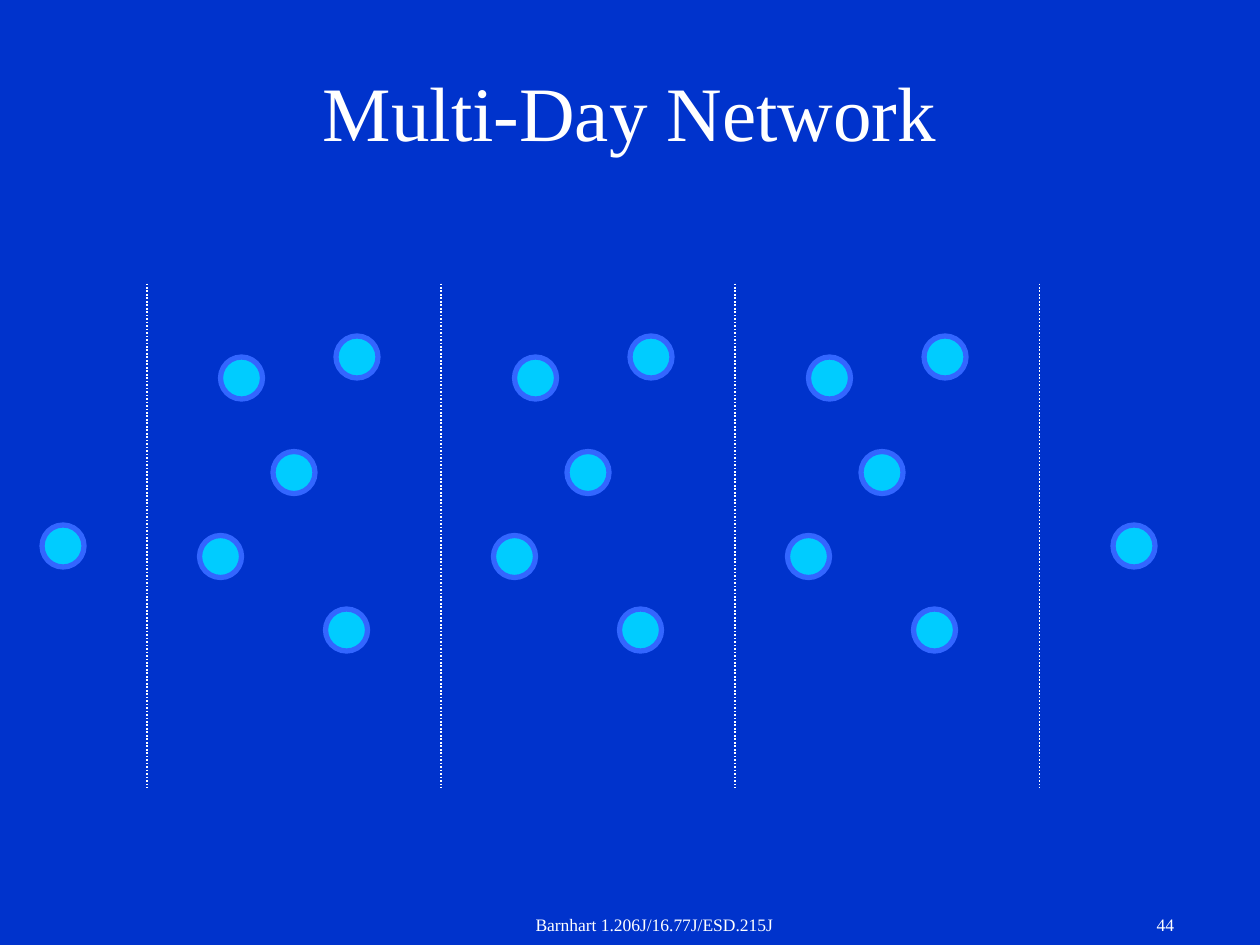
from dataclasses import dataclass

from pptx import Presentation
from pptx import util as u
from pptx.dml.color import RGBColor
from pptx.enum import dml, shapes, text
from pptx.oxml.ns import qn
from pptx.slide import Slide
from lxml import etree

PX = 914400 // 120  # one px in EMU, 120 px to the inch
FONT = "Times New Roman"
BLUE = RGBColor(0x00, 0x33, 0xCC)
CYAN = RGBColor(0x00, 0xCC, 0xFF)
RIM = RGBColor(0x33, 0x66, 0xFF)
WHITE = RGBColor(0xFF, 0xFF, 0xFF)

NODE = 40  # node diameter
TOP, BOTTOM = 270, 750  # ends of the day lines
FIRST, STEP, DAYS = 140, 280, 3
LAST = 990  # line after the last day


@dataclass(frozen=True)
class Node:
    x: int
    y: int


@dataclass(frozen=True)
class Label:
    words: str
    x: int
    y: int
    w: int
    h: int
    size: int
    align: text.PP_ALIGN
    anchor: text.MSO_ANCHOR = text.MSO_ANCHOR.TOP


# Nodes of one day, measured from its left line
DAY = [Node(70, 340), Node(120, 430), Node(50, 510), Node(170, 580), Node(180, 320)]
# Nodes before the first day and after the last
ENDS = [Node(40, 500), Node(1060, 500)]

LABELS = [
    Label("Multi-Day Network", 90, 30, 1020, 150, 44,
          text.PP_ALIGN.CENTER, text.MSO_ANCHOR.MIDDLE),
    Label("Barnhart 1.206J/16.77J/ESD.215J", 433, 865, 380, 35, 10,
          text.PP_ALIGN.CENTER),
    Label("44", 880, 865, 250, 35, 10, text.PP_ALIGN.RIGHT),
]


def add_node(slide: Slide, node: Node, shift: int = 0) -> None:
    dot = slide.shapes.add_shape(
        shapes.MSO_SHAPE.OVAL, (node.x + shift) * PX, node.y * PX, NODE * PX, NODE * PX)
    dot.shadow.inherit = False
    dot.fill.solid()
    dot.fill.fore_color.rgb = CYAN
    dot.line.color.rgb = RIM
    dot.line.width = u.Pt(3)


def add_line(slide: Slide, x: int) -> None:
    rule = slide.shapes.add_connector(
        shapes.MSO_CONNECTOR.STRAIGHT, x * PX, TOP * PX, x * PX, BOTTOM * PX)
    rule.line.color.rgb = WHITE
    rule.line.width = u.Pt(1)
    rule.line.dash_style = dml.MSO_LINE.ROUND_DOT
    etree.SubElement(rule._element.spPr, qn("a:effectLst"))


def add_label(slide: Slide, label: Label) -> None:
    box = slide.shapes.add_textbox(
        label.x * PX, label.y * PX, label.w * PX, label.h * PX)
    frame = box.text_frame
    frame.word_wrap = True
    frame.vertical_anchor = label.anchor
    para = frame.paragraphs[0]
    para.alignment = label.align
    run = para.add_run()
    run.text = label.words
    run.font.name = FONT
    run.font.size = u.Pt(label.size)
    run.font.color.rgb = WHITE


def main() -> None:
    deck = Presentation()
    deck.slide_width, deck.slide_height = 1200 * PX, 900 * PX
    slide = deck.slides.add_slide(deck.slide_layouts[6])
    slide.background.fill.solid()
    slide.background.fill.fore_color.rgb = BLUE

    # Title and footer
    for label in LABELS:
        add_label(slide, label)

    # Days: a line, then its nodes
    for day in range(DAYS):
        left = FIRST + day * STEP
        add_line(slide, left)
        for node in DAY:
            add_node(slide, node, left)

    # Closing line and end nodes
    add_line(slide, LAST)
    for node in ENDS:
        add_node(slide, node)

    deck.save("out.pptx")


if __name__ == "__main__":
    main()
